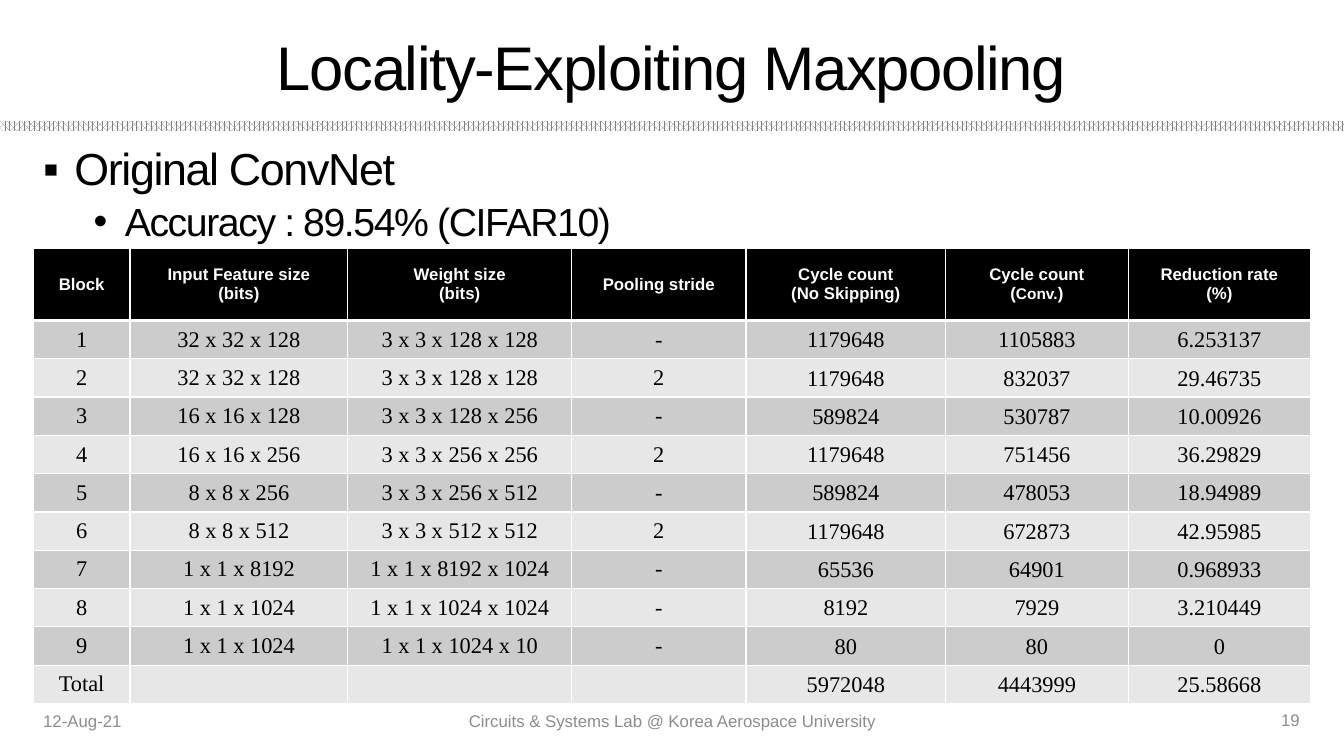
from lxml import etree
from pptx import Presentation
from pptx.dml.color import RGBColor
from pptx.enum.dml import MSO_PATTERN
from pptx.enum.shapes import MSO_SHAPE
from pptx.enum.text import MSO_ANCHOR, PP_ALIGN
from pptx.oxml import parse_xml
from pptx.oxml.ns import nsdecls, qn
from pptx.util import Inches, Pt

LEFT, CENTER, RIGHT = PP_ALIGN.LEFT, PP_ALIGN.CENTER, PP_ALIGN.RIGHT
MIDDLE = MSO_ANCHOR.MIDDLE


def style(r, size, color, font="Arial", bold=False, spacing=None):
    r.font.size, r.font.name, r.font.bold = Pt(size), font, bold
    r.font.color.rgb = RGBColor.from_string(color)
    if spacing is not None:
        r.font._element.set("spc", str(spacing))


def add_border(cell, side, width):
    """Append one white cell border; call in the order L, R, T, B."""
    cell._tc.get_or_add_tcPr().append(parse_xml(
        f'<a:ln{side} {nsdecls("a")} w="{Pt(width)}"><a:solidFill>'
        f'<a:srgbClr val="FFFFFF"/></a:solidFill></a:ln{side}>'))


prs = Presentation()
prs.slide_width, prs.slide_height = Inches(13.33), Inches(7.5)
s = prs.slides.add_slide(prs.slide_layouts[5])

# Title and divider
title = s.shapes.title
title.left, title.top = Inches(0.33), Inches(0.22)
title.width, title.height = Inches(12.66), Inches(0.87)
tf = title.text_frame
tf.text = "Locality-Exploiting Maxpooling"
tf.vertical_anchor = MIDDLE
tf.paragraphs[0].alignment = CENTER
style(tf.paragraphs[0].runs[0], 44, "000000", spacing=-100)

divider = s.shapes.add_shape(MSO_SHAPE.RECTANGLE, 0, Inches(1.2), prs.slide_width, Inches(0.1))
divider.shadow.inherit = False
divider.line.fill.background()
divider.fill.patterned()
divider.fill.pattern = MSO_PATTERN.PERCENT_70
divider.fill.fore_color.rgb = RGBColor.from_string("808080")
divider.fill.back_color.rgb = RGBColor.from_string("FFFFFF")

# Bullets
tf = s.shapes.add_textbox(Inches(0.33), Inches(1.41), Inches(12.66), Inches(1.05)).text_frame
tf.word_wrap = True
tf.text = "Original ConvNet\nAccuracy : 89.54% (CIFAR10)"
bullets = [("▪", 0.31, 32, 0), ("•", 0.81, 28, 5)]
for level, (p, (mark, margin, size, before)) in enumerate(zip(tf.paragraphs, bullets)):
    p.level = level
    p.line_spacing, p.space_before = 0.9, Pt(before)
    pPr = p._p.get_or_add_pPr()
    pPr.set("marL", str(Inches(margin)))
    pPr.set("indent", str(Inches(-0.31)))
    etree.SubElement(pPr, qn("a:buFont")).set("typeface", "Arial")
    etree.SubElement(pPr, qn("a:buChar")).set("char", mark)
    style(p.runs[0], size, "000000", spacing=-100)

# Table
HEADER = ["Block", "Input Feature size\n(bits)", "Weight size\n(bits)", "Pooling stride",
          "Cycle count\n(No Skipping)", "Cycle count", "Reduction rate\n(%)"]
ROWS = [
    ["1", "32 x 32 x 128", "3 x 3 x 128 x 128", "-", "1179648", "1105883", "6.253137"],
    ["2", "32 x 32 x 128", "3 x 3 x 128 x 128", "2", "1179648", "832037", "29.46735"],
    ["3", "16 x 16 x 128", "3 x 3 x 128 x 256", "-", "589824", "530787", "10.00926"],
    ["4", "16 x 16 x 256", "3 x 3 x 256 x 256", "2", "1179648", "751456", "36.29829"],
    ["5", "8 x 8 x 256", "3 x 3 x 256 x 512", "-", "589824", "478053", "18.94989"],
    ["6", "8 x 8 x 512", "3 x 3 x 512 x 512", "2", "1179648", "672873", "42.95985"],
    ["7", "1 x 1 x 8192", "1 x 1 x 8192 x 1024", "-", "65536", "64901", "0.968933"],
    ["8", "1 x 1 x 1024", "1 x 1 x 1024 x 1024", "-", "8192", "7929", "3.210449"],
    ["9", "1 x 1 x 1024", "1 x 1 x 1024 x 10", "-", "80", "80", "0"],
    ["Total", "", "", "", "5972048", "4443999", "25.58668"],
]
COL_WIDTHS = [0.96, 2.16, 2.22, 1.73, 1.98, 1.81, 1.81]
FIRST_COUNT_COL, CONV_COL = 4, 5

table = s.shapes.add_table(len(ROWS) + 1, len(HEADER), Inches(0.33), Inches(2.46),
                           Inches(12.66), Inches(4.48)).table
for column, width in zip(table.columns, COL_WIDTHS):
    column.width = Inches(width)
for i, values in enumerate([HEADER] + ROWS):
    table.rows[i].height = Inches(0.38 if i else 0.72)
    fill = ("E7E7E7" if i % 2 == 0 else "CCCCCC") if i else "000000"
    for j, value in enumerate(values):
        cell = table.cell(i, j)
        cell.text = value
        cell.vertical_anchor = MIDDLE
        if i and (j >= FIRST_COUNT_COL or not value):
            cell.margin_left = cell.margin_right = cell.margin_top = Inches(0.01)
            cell.margin_bottom = 0
        if i == 0 and j == CONV_COL:
            p = cell.text_frame.add_paragraph()
            for part in ("(", "Conv.", ")"):
                p.add_run().text = part
        for p in cell.text_frame.paragraphs:
            p.alignment = CENTER
            for r in p.runs:
                if i:
                    style(r, 16, "000000", "Times New Roman")
                else:
                    style(r, 11 if r.text == "Conv." else 12, "FFFFFF", bold=True)
        add_border(cell, "L", 1)
        add_border(cell, "R", 1)
        add_border(cell, "T", 3 if i == 1 else 1)
        add_border(cell, "B", 3 if i == 0 else 1)
        cell.fill.solid()
        cell.fill.fore_color.rgb = RGBColor.from_string(fill)

# Footer
footers = [
    ("12-Aug-21", 0.33, 6.95, 3, LEFT),
    ("Circuits & Systems Lab @ Korea Aerospace University", 4.42, 6.95, 4.5, CENTER),
    ("19", 9.95, 6.94, 3.04, RIGHT),
]
for text, left, top, width, align in footers:
    tf = s.shapes.add_textbox(Inches(left), Inches(top), Inches(width), Inches(0.4)).text_frame
    tf.word_wrap = True
    tf.vertical_anchor = MIDDLE
    tf.text = text
    tf.paragraphs[0].alignment = align
    style(tf.paragraphs[0].runs[0], 12, "8C8C8C")

prs.save("out.pptx")
